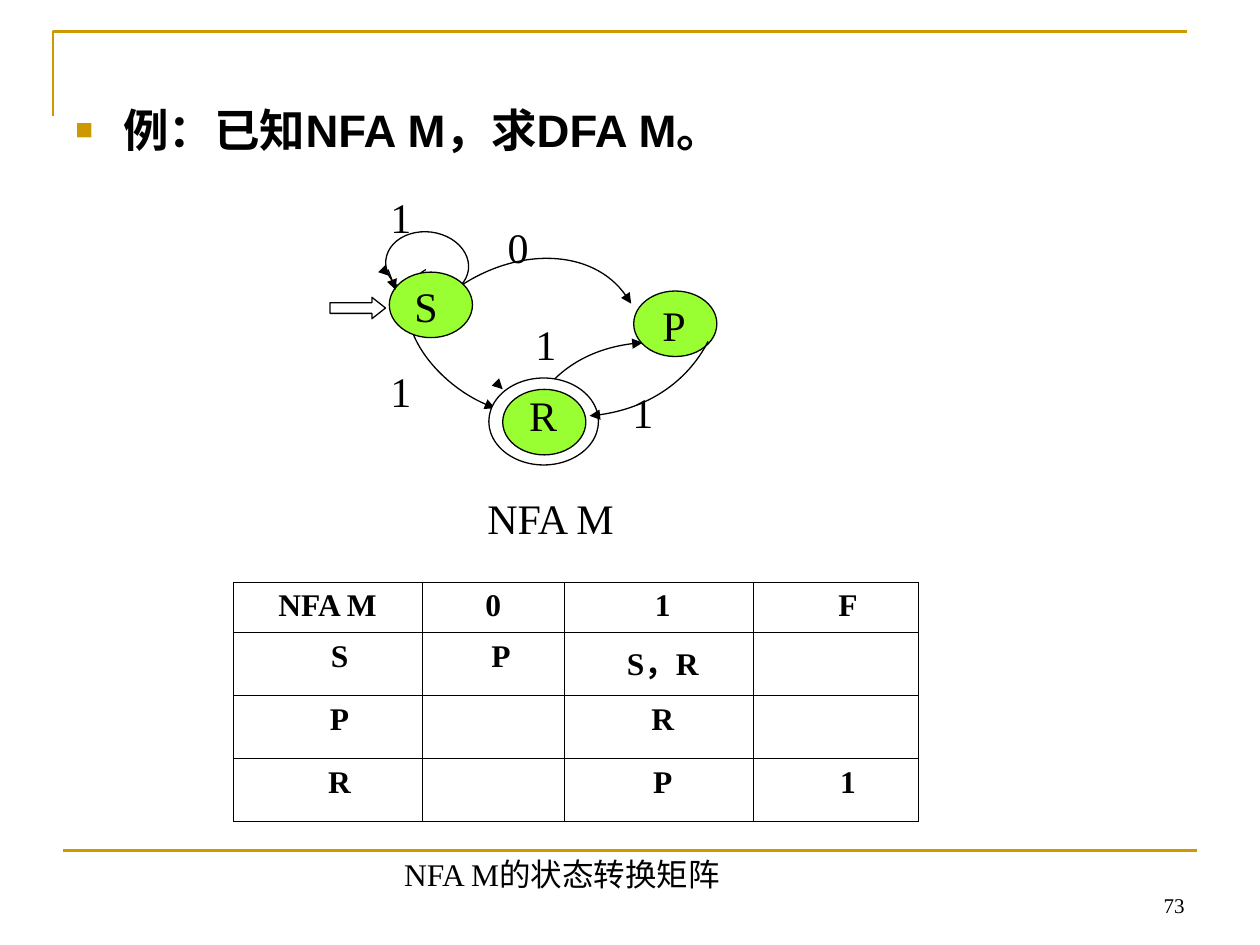
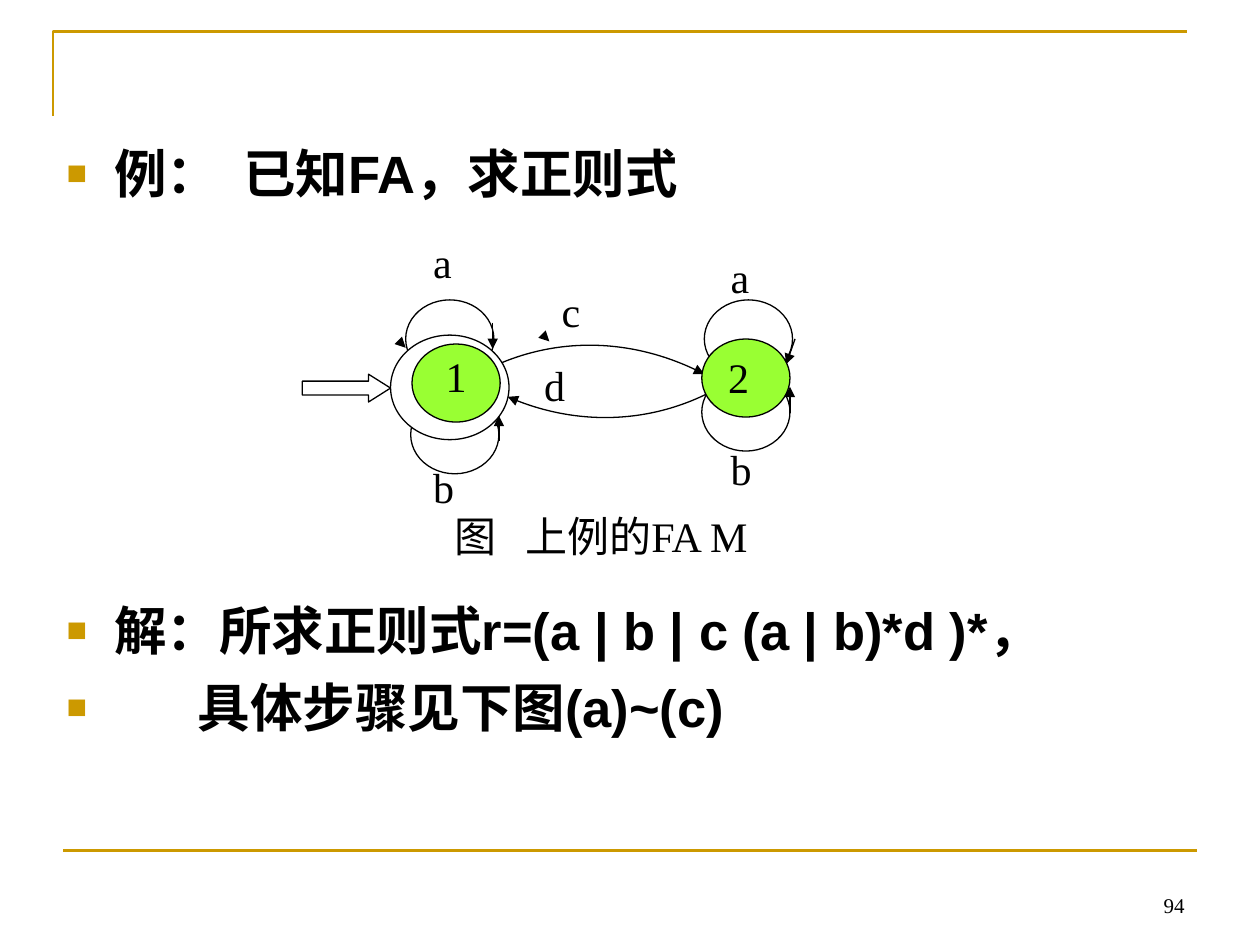
import dataclasses
import typing

import lxml.etree
import pptx
import pptx.dml.color
import pptx.enum.shapes
import pptx.enum.text
import pptx.oxml.ns
import pptx.util

Inches = pptx.util.Inches
Pt = pptx.util.Pt
Shapes = pptx.enum.shapes.MSO_SHAPE
Align = pptx.enum.text.PP_ALIGN
Anchor = pptx.enum.text.MSO_ANCHOR
Point = tuple[float, float]

GOLD, BLACK, WHITE, GREEN = "CC9900", "000000", "FFFFFF", "99FF33"
SERIF, SANS = "Times New Roman", "Arial"


def color(value: str) -> pptx.dml.color.RGBColor:
    return pptx.dml.color.RGBColor.from_string(value)


def add_element(parent, tag: str, **attributes: str):
    element = lxml.etree.SubElement(parent, pptx.oxml.ns.qn(tag))
    for name, value in attributes.items():
        element.set(name, value)
    return element


# Text
def write_text(paragraph, text: str, *, size: float = 24, font: str = SERIF,
               bold: bool = False, align=Align.LEFT, gap: float = 0) -> None:
    """Write one paragraph; gap widens its first space by that many points."""
    paragraph.alignment = align
    pieces = text.partition(" ") if gap else (text,)
    for piece in pieces:
        run = paragraph.add_run()
        run.text = piece
        run.font.size, run.font.name, run.font.bold = Pt(size), font, bold
        run.font.color.rgb = color(BLACK)
        if gap and piece == " ":
            run.font._element.set("spc", str(round(gap * 100)))


def add_text_frame(slide, left: float, top: float, width: float, height: float):
    box = slide.shapes.add_textbox(Inches(left), Inches(top), Inches(width), Inches(height))
    box.text_frame.word_wrap = True
    return box.text_frame


def add_text(slide, text: str, left: float, top: float, width: float, height: float,
             *, anchor=Anchor.TOP, **text_format) -> None:
    frame = add_text_frame(slide, left, top, width, height)
    frame.vertical_anchor = anchor
    write_text(frame.paragraphs[0], text, **text_format)


def set_indent(paragraph, margin: float, first_line: float = 0):
    properties = paragraph._p.get_or_add_pPr()
    properties.set("marL", str(Inches(margin)))
    properties.set("indent", str(Inches(first_line)))
    return properties


@dataclasses.dataclass
class Bullet:
    text: str
    indent: float = 0.38
    space_before: float = 0
    gap: float = 0


def add_bullets(slide, bullets: list[Bullet], left: float, top: float, width: float,
                height: float, size: float) -> None:
    frame = add_text_frame(slide, left, top, width, height)
    for index, bullet in enumerate(bullets):
        paragraph = frame.add_paragraph() if index else frame.paragraphs[0]
        properties = set_indent(paragraph, bullet.indent, -bullet.indent)
        add_element(add_element(properties, "a:buClr"), "a:srgbClr", val=GOLD)
        add_element(properties, "a:buSzPct", val="65000")
        add_element(properties, "a:buFont", typeface=SANS)
        add_element(properties, "a:buChar", char="■")
        if index:
            paragraph.space_before = Pt(bullet.space_before)
        write_text(paragraph, bullet.text, size=size, font=SANS, bold=True, gap=bullet.gap)


# Lines and shapes
def set_line(shape, line_color: str, width: float, arrow: bool = False) -> None:
    shape.line.color.rgb = color(line_color)
    shape.line.width = Pt(width)
    if arrow:
        add_element(shape.line._get_or_add_ln(), "a:tailEnd", type="triangle")


def add_line(slide, start: Point, end: Point, line_color: str = BLACK,
             width: float = 0.75, arrow: bool = False) -> None:
    connector = slide.shapes.add_connector(
        pptx.enum.shapes.MSO_CONNECTOR.STRAIGHT, *map(Inches, (*start, *end)))
    set_line(connector, line_color, width, arrow)
    add_element(connector._element.spPr, "a:effectLst")


def add_open_path(slide, points: list[Point], line_color: str = BLACK,
                  width: float = 0.75, arrow: bool = False):
    corners = [(Inches(x), Inches(y)) for x, y in points]
    builder = slide.shapes.build_freeform(*corners[0])
    builder.add_line_segments(corners[1:], close=False)
    shape = builder.convert_to_shape()
    shape.shadow.inherit = False
    shape.fill.background()
    set_line(shape, line_color, width, arrow)
    return shape


def add_filled(slide, kind, left: float, top: float, width: float, height: float, fill: str):
    shape = slide.shapes.add_shape(
        kind, Inches(left), Inches(top), Inches(width), Inches(height))
    shape.shadow.inherit = False
    shape.fill.solid()
    shape.fill.fore_color.rgb = color(fill)
    set_line(shape, BLACK, 0.75)
    return shape


# Parts of an automaton diagram
@dataclasses.dataclass
class Oval:
    left: float
    top: float
    width: float
    height: float
    fill: str = WHITE
    rotation: float = 0

    def draw(self, slide) -> None:
        shape = add_filled(slide, Shapes.OVAL, self.left, self.top,
                           self.width, self.height, self.fill)
        shape.rotation = self.rotation


@dataclasses.dataclass
class EntryArrow:
    left: float
    top: float
    width: float
    height: float
    head: float

    def draw(self, slide) -> None:
        shape = add_filled(slide, Shapes.RIGHT_ARROW, self.left, self.top,
                           self.width, self.height, WHITE)
        shape.adjustments[1] = self.head


@dataclasses.dataclass
class Transition:
    """A chain of cubic curves: start, then two controls and an end for each."""
    points: list[Point]

    def draw(self, slide) -> None:
        shape = add_open_path(slide, self.points, arrow=True)
        outline = next(shape._element.iter(pptx.oxml.ns.qn("a:path")))
        segments = list(outline)[1:]
        for first in range(0, len(segments), 3):
            curve = add_element(outline, "a:cubicBezTo")
            for segment in segments[first:first + 3]:
                curve.append(segment[0])
                outline.remove(segment)


@dataclasses.dataclass
class Arrow:
    start: Point
    end: Point

    def draw(self, slide) -> None:
        add_line(slide, self.start, self.end, arrow=True)


@dataclasses.dataclass
class Label:
    text: str
    left: float
    top: float
    width: float
    height: float
    align: typing.Any = Align.LEFT

    def draw(self, slide) -> None:
        add_text(slide, self.text, self.left, self.top, self.width, self.height,
                 align=self.align)


def arrow_tip(x: float, y: float) -> Arrow:
    return Arrow((x - 0.01, y - 0.01), (x, y))


NFA_STATE = (0.66, 0.52)
FA_STATE = (0.7, 0.62)

NFA_DIAGRAM = [
    Label("NFA M", 2.4, 3.86, 3.94, 0.6, Align.CENTER),
    Oval(3.06, 1.84, *NFA_STATE, rotation=186.9),
    Transition([(4.25, 3.2), (4.42, 2.92), (4.74, 2.74), (5.1, 2.72)]),
    Transition([(3.35, 2.53), (3.42, 2.44), (3.51, 2.36), (3.61, 2.3),
                (4.1, 1.95), (4.71, 1.97), (4.97, 2.35),
                (4.99, 2.37), (5, 2.39), (5.01, 2.41)]),
    Transition([(3.38, 2.14), (3.34, 2.16), (3.32, 2.19), (3.29, 2.22),
                (3.13, 2.47), (3.31, 2.87), (3.69, 3.12),
                (3.77, 3.17), (3.85, 3.21), (3.93, 3.24)]),
    EntryArrow(2.62, 2.36, 0.44, 0.17, 0.635),
    Oval(3.09, 2.16, *NFA_STATE, GREEN),
    Label("S", 3.19, 2.18, *NFA_STATE),
    arrow_tip(3.09, 2.19),
    Oval(3.88, 3, 0.87, 0.69),
    Oval(3.99, 3.09, *NFA_STATE, GREEN),
    Label("R", 3.98, 3.04, *NFA_STATE, Align.CENTER),
    arrow_tip(3.99, 3.09),
    Label("1", 4.15, 2.48, 0.88, 0.52),
    Label("0", 3.93, 1.71, 0.66, 0.55),
    Arrow((3.08, 2.14), (3.14, 2.3)),
    Oval(5.03, 2.31, *NFA_STATE, GREEN),
    Label("P", 5.16, 2.33, *NFA_STATE),
    Transition([(5.62, 2.71), (5.45, 3.04), (5.09, 3.27), (4.68, 3.3)]),
    Label("1", 3, 1.47, 0.66, 0.55),
    Label("1", 4.92, 3.02, 0.75, 0.55),
    Label("1", 3, 2.85, 1.09, 0.55),
]

FA_DIAGRAM = [
    EntryArrow(2.4, 2.97, 0.7, 0.22, 0.792),
    Transition([(6.06, 2.81), (6.04, 2.84), (6.01, 2.86), (5.99, 2.88),
                (5.45, 3.33), (4.69, 3.44), (4.03, 3.15)]),
    Transition([(3.48, 3.19), (3.56, 3.12), (3.65, 3.06), (3.74, 3),
                (4.3, 2.67), (5, 2.66), (5.59, 2.97)]),
    Label("c", 4.36, 2.22, *FA_STATE),
    arrow_tip(4.36, 2.71),
    Label("d", 4.22, 2.8, 0.94, 0.62),
    # State 2 with its loops
    Oval(5.57, 2.96, *FA_STATE),
    Oval(5.59, 2.38, *FA_STATE),
    Oval(5.57, 2.69, *FA_STATE, GREEN),
    Arrow((6.31, 2.69), (6.24, 2.89)),
    Label("a", 5.7, 1.95, *FA_STATE),
    Label("2", 5.68, 2.74, *FA_STATE),
    Arrow((6.27, 3.28), (6.27, 3.07)),
    Label("b", 5.7, 3.47, *FA_STATE),
    # State 1 with its loops
    Oval(3.26, 3.14, *FA_STATE),
    Oval(3.22, 2.38, *FA_STATE),
    Oval(3.1, 2.66, 0.94, 0.83),
    Oval(3.27, 2.73, *FA_STATE, GREEN),
    Label("1", 3.27, 2.73, *FA_STATE, Align.CENTER),
    arrow_tip(3.22, 2.76),
    Arrow((3.91, 2.56), (3.91, 2.77)),
    Arrow((3.96, 3.5), (3.96, 3.3)),
    Label("a", 3.34, 1.83, *FA_STATE),
    Label("b", 3.34, 3.61, *FA_STATE),
]

MATRIX = [["NFA M", "0", "1", "F"],
          ["S", "P", "S，R", ""],
          ["P", "", "R", ""],
          ["R", "", "P", "1"]]
MATRIX_WIDTHS = [1.5, 1.13, 1.5, 1.31]
MATRIX_HEIGHTS = [0.4, 0.5, 0.5, 0.5]
HEADER_INDENTS = [0, 0, 0.06, 0.19]
BODY_INDENTS = [0.19, 0.12, 0.06, 0.19]


def add_matrix(slide, left: float, top: float) -> None:
    frame = slide.shapes.add_table(
        len(MATRIX), len(MATRIX[0]), Inches(left), Inches(top),
        Inches(sum(MATRIX_WIDTHS)), Inches(sum(MATRIX_HEIGHTS)))
    table = frame.table
    table.first_row = table.horz_banding = False
    for column, width in zip(table.columns, MATRIX_WIDTHS):
        column.width = Inches(width)
    for row_index, (row, height) in enumerate(zip(table.rows, MATRIX_HEIGHTS)):
        row.height = Inches(height)
        indents = BODY_INDENTS if row_index else HEADER_INDENTS
        for cell, text, indent in zip(row.cells, MATRIX[row_index], indents):
            properties = cell._tc.get_or_add_tcPr()
            for side in "LRTB":
                border = add_element(properties, f"a:ln{side}", w=str(Pt(0.45)))
                add_element(add_element(border, "a:solidFill"), "a:srgbClr", val=BLACK)
            cell.fill.background()
            if text:
                paragraph = cell.text_frame.paragraphs[0]
                set_indent(paragraph, indent)
                write_text(paragraph, text, size=18, bold=True, align=Align.CENTER)


def add_framed_slide(presentation, page: int):
    slide = presentation.slides.add_slide(presentation.slide_layouts[6])
    add_open_path(slide, [(0.42, 0.92), (0.42, 0.25), (9.42, 0.25)], GOLD, 1.5)
    add_line(slide, (0.5, 6.75), (9.5, 6.75), GOLD, 1.5)
    add_text(slide, str(page), 7.17, 6.83, 2.33, 0.5,
             anchor=Anchor.BOTTOM, size=12, align=Align.RIGHT)
    return slide


def main() -> None:
    presentation = pptx.Presentation()
    presentation.slide_width, presentation.slide_height = Inches(10), Inches(7.5)

    # NFA with its transition matrix
    slide = add_framed_slide(presentation, 73)
    add_bullets(slide, [Bullet("例：已知NFA M，求DFA M。")], 0.5, 0.76, 9.07, 5.95, size=26)
    add_matrix(slide, 1.85, 4.62)
    add_text(slide, "NFA M的状态转换矩阵", 3.11, 6.74, 3.15, 0.24, size=18)
    for part in NFA_DIAGRAM:
        part.draw(slide)

    # From automaton to regular expression
    slide = add_framed_slide(presentation, 94)
    add_bullets(slide, [
        Bullet("例： 已知FA，求正则式", gap=6.8),
        Bullet("解：所求正则式r=(a | b | c (a | b)*d )*，", space_before=225.4),
        Bullet("具体步骤见下图(a)~(c)", indent=1.04, space_before=7.5),
    ], 0.43, 1.07, 9, 4.96, size=30)
    add_text(slide, "图 上例的FA M", 3.51, 4, 4.09, 0.62, gap=11)
    for part in FA_DIAGRAM:
        part.draw(slide)

    presentation.save("out.pptx")


if __name__ == "__main__":
    main()
